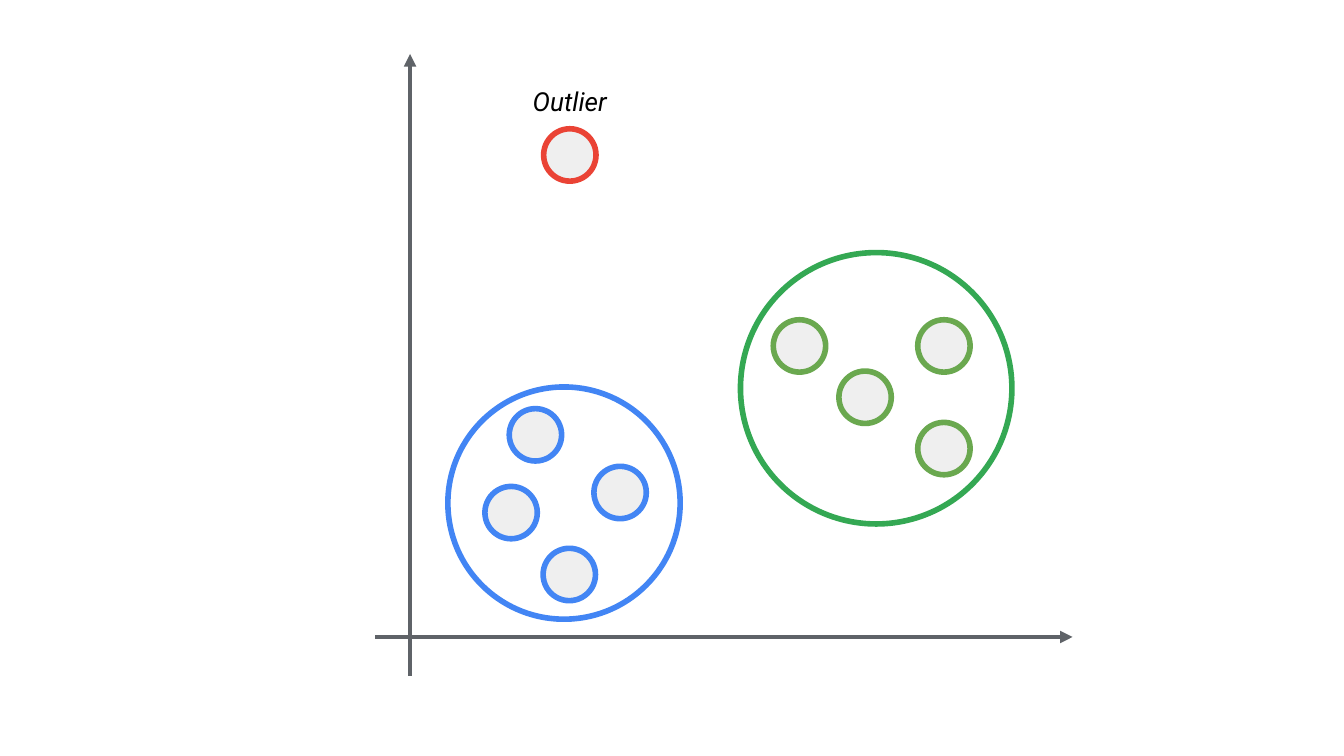
"""Draw a scatter of two clusters and one outlier on plain axes."""
from dataclasses import dataclass
from typing import Any, NamedTuple

from lxml import etree
from pptx import Presentation
from pptx import util as u
from pptx.dml.color import RGBColor
from pptx.enum import shapes, text
from pptx.oxml.ns import qn


@dataclass(frozen=True)
class Theme:
    axis: str = "5F6368"
    point: str = "EFEFEF"
    blue: str = "4285F4"
    green: str = "34A853"
    olive: str = "6AA84F"
    red: str = "EA4335"
    ink: str = "000000"
    font: str = "Roboto"
    label_size: float = 14
    axis_width: float = 2.25
    ring_width: float = 3


class Spot(NamedTuple):
    x: float
    y: float


class Axis(NamedTuple):
    start: Spot
    end: Spot
    arrow: str


class Cluster(NamedTuple):
    center: Spot
    diameter: float
    ring_color: str
    point_color: str
    points: tuple[Spot, ...]


THEME = Theme()
POINT_DIAMETER = 0.99
OUTLIER = Spot(10.77, 2.93)
AXES = (
    Axis(Spot(7.75, 1.02), Spot(7.75, 12.78), "a:headEnd"),
    Axis(Spot(7.09, 12.04), Spot(20.27, 12.04), "a:tailEnd"),
)
CLUSTERS = (
    Cluster(Spot(10.66, 9.51), 4.39, THEME.blue, THEME.blue,
            (Spot(9.66, 9.69), Spot(10.12, 8.22), Spot(11.72, 9.31), Spot(10.76, 10.86))),
    Cluster(Spot(16.56, 7.34), 5.13, THEME.green, THEME.olive,
            (Spot(17.84, 6.54), Spot(17.84, 8.48), Spot(15.11, 6.54), Spot(16.35, 7.51))),
)


def apply(target: Any, values: dict[str, Any]) -> None:
    for name, value in values.items():
        setattr(target, name, value)


def draw_axis(canvas: Any, axis: Axis) -> None:
    line = canvas.add_connector(
        shapes.MSO_CONNECTOR.STRAIGHT, *(u.Cm(n) for n in (*axis.start, *axis.end)))
    line.line.color.rgb = RGBColor.from_string(THEME.axis)
    line.line.width = u.Pt(THEME.axis_width)
    properties = line.line._get_or_add_ln()
    etree.SubElement(properties, qn(axis.arrow), type="triangle")
    etree.SubElement(line._element.spPr, qn("a:effectLst"))


def draw_circle(canvas: Any, center: Spot, diameter: float, color: str,
                fill: str | None = None) -> None:
    left, top = (u.Cm(n - diameter / 2) for n in center)
    circle = canvas.add_shape(
        shapes.MSO_SHAPE.OVAL, left, top, u.Cm(diameter), u.Cm(diameter))
    circle.shadow.inherit = False
    circle.line.color.rgb = RGBColor.from_string(color)
    circle.line.width = u.Pt(THEME.ring_width)
    if fill:
        circle.fill.solid()
        circle.fill.fore_color.rgb = RGBColor.from_string(fill)
    else:
        circle.fill.background()


def draw_point(canvas: Any, center: Spot, color: str) -> None:
    draw_circle(canvas, center, POINT_DIAMETER, color, THEME.point)


def draw_cluster(canvas: Any, cluster: Cluster) -> None:
    members = canvas.add_group_shape().shapes
    draw_circle(members, cluster.center, cluster.diameter, cluster.ring_color)
    for point in cluster.points:
        draw_point(members, point, cluster.point_color)


def draw_label(canvas: Any, words: str, center: Spot, width: float, height: float) -> None:
    label = canvas.add_textbox(u.Cm(center.x - width / 2), u.Cm(center.y - height / 2),
                               u.Cm(width), u.Cm(height))
    frame = label.text_frame
    margins = {f"margin_{side}": u.Cm(0.25) for side in ("left", "top", "right", "bottom")}
    apply(frame, {"word_wrap": True, "vertical_anchor": text.MSO_ANCHOR.MIDDLE, **margins})
    paragraph = frame.paragraphs[0]
    paragraph.alignment = text.PP_ALIGN.CENTER
    run = paragraph.add_run()
    run.text = words
    apply(run.font, {"name": THEME.font, "size": u.Pt(THEME.label_size), "italic": True})
    run.font.color.rgb = RGBColor.from_string(THEME.ink)


def main() -> None:
    deck = Presentation()
    apply(deck, {"slide_width": u.Cm(25.4), "slide_height": u.Cm(14.29)})
    canvas = deck.slides.add_slide(deck.slide_layouts[6]).shapes
    for axis in AXES:
        draw_axis(canvas, axis)
    for cluster in CLUSTERS:
        draw_cluster(canvas, cluster)
    draw_point(canvas, OUTLIER, THEME.red)
    draw_label(canvas, "Outlier", Spot(OUTLIER.x, 1.91), 2.29, 1.37)
    deck.save("out.pptx")


if __name__ == "__main__":
    main()
